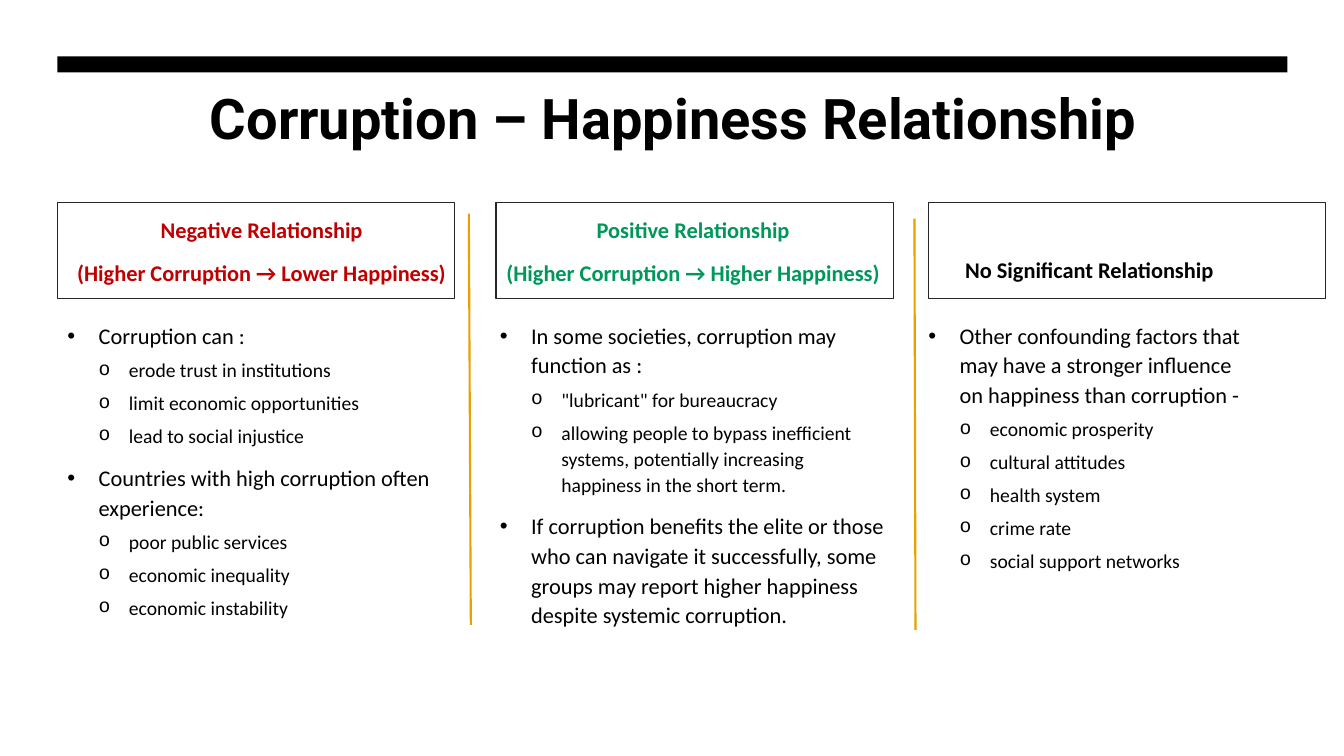
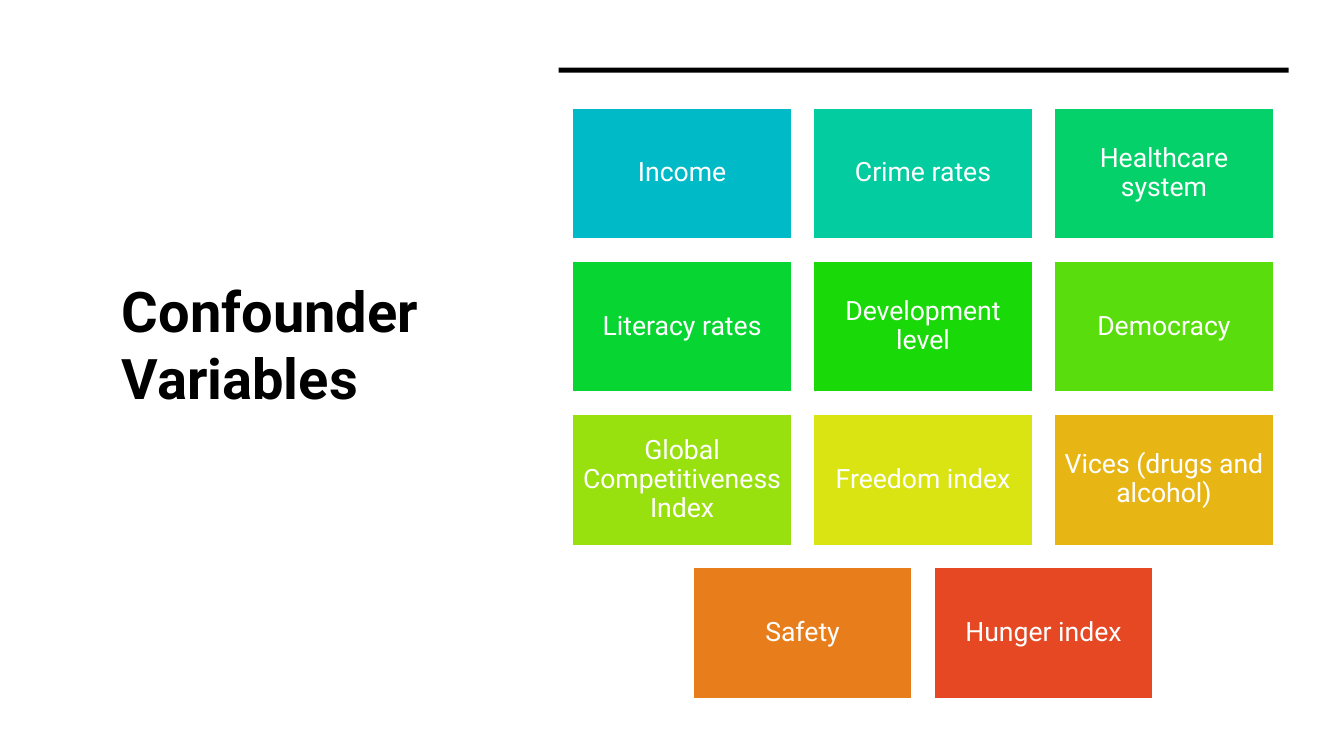
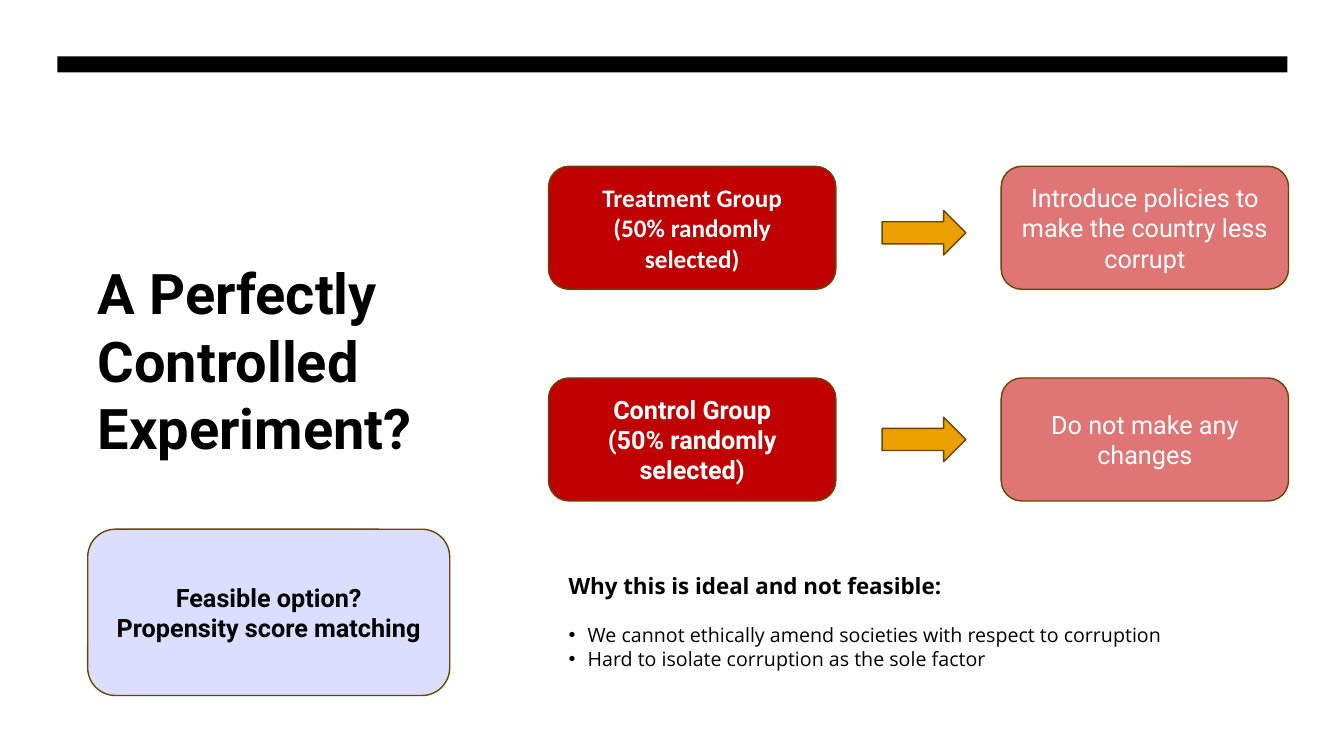
from lxml.etree import SubElement
from pptx import Presentation
from pptx.dml.color import RGBColor
from pptx.enum.shapes import MSO_CONNECTOR, MSO_SHAPE
from pptx.enum.text import MSO_ANCHOR, PP_ALIGN
from pptx.oxml.ns import qn
from pptx.util import Inches, Pt

BLACK = RGBColor(0x00, 0x00, 0x00)
WHITE = RGBColor(0xFF, 0xFF, 0xFF)
CHARCOAL = RGBColor(0x26, 0x26, 0x26)
RED = RGBColor(0xC0, 0x00, 0x00)
PINK = RGBColor(0xE0, 0x75, 0x75)
GREEN = RGBColor(0x00, 0x97, 0x5A)
GOLD = RGBColor(0xEB, 0xA0, 0x00)
BROWN = RGBColor(0x67, 0x46, 0x00)
LAVENDER = RGBColor(0xDB, 0xDE, 0xFF)

SLIDE_W, SLIDE_H = 13.33, 7.5
MARGIN = 0.57
TITLE_FONT = "Roboto"
BODY_FONT = "Calibri"
NOTE_FONT = "Open Sans"

# Heading text: left, top, colour, lines; frame: left; body: left, width, items.
# Each item is (level, text).
RELATIONSHIPS = [
    ((0.57, 2.17, RED,
      ["Negative Relationship", "(Higher Corruption → Lower Happiness)"]),
     0.57,
     (0.57, 4.05, [
         (0, "Corruption can :"),
         (1, "erode trust in institutions"),
         (1, "limit economic opportunities"),
         (1, "lead to social injustice"),
         (0, "Countries with high corruption often experience:"),
         (1, "poor public services"),
         (1, "economic inequality"),
         (1, "economic instability")])),
    ((4.85, 2.17, GREEN,
      ["Positive Relationship", "(Higher Corruption → Higher Happiness)"]),
     4.92,
     (4.86, 4.04, [
         (0, "In some societies, corruption may function as :"),
         (1, '"lubricant" for bureaucracy'),
         (1, "allowing people to bypass inefficient systems, potentially "
             "increasing happiness in the short term."),
         (0, "If corruption benefits the elite or those who can navigate it "
             "successfully, some groups may report higher happiness despite "
             "systemic corruption.")])),
    ((8.78, 2.14, BLACK, ["No Significant Relationship"]),
     9.21,
     (9.11, 3.45, [
         (0, "Other confounding factors that may have a stronger influence "
             "on happiness than corruption -"),
         (1, "economic prosperity"),
         (1, "cultural attitudes"),
         (1, "health system"),
         (1, "crime rate"),
         (1, "social support networks")])),
]
DIVIDERS = [((4.65, 2.12), (4.67, 6.2)), ((9.07, 2.17), (9.08, 6.25))]

CONFOUNDERS = [
    ("Income", RGBColor(0x00, 0xBA, 0xC8)),
    ("Crime rates", RGBColor(0x02, 0xCC, 0xA0)),
    ("Healthcare system", RGBColor(0x04, 0xD1, 0x69)),
    ("Literacy rates", RGBColor(0x07, 0xD5, 0x31)),
    ("Development level", RGBColor(0x1A, 0xD9, 0x09)),
    ("Democracy", RGBColor(0x59, 0xDD, 0x0C)),
    ("Global Competitiveness Index", RGBColor(0x99, 0xE0, 0x0F)),
    ("Freedom index", RGBColor(0xD9, 0xE4, 0x12)),
    ("Vices (drugs and alcohol)", RGBColor(0xE7, 0xB6, 0x15)),
    ("Safety", RGBColor(0xE8, 0x7D, 0x1B)),
    ("Hunger index", RGBColor(0xE6, 0x48, 0x23)),
]

# Group name, its font, what is done to it, top of its arrow.
EXPERIMENT_ARMS = [
    ("Treatment Group", BODY_FONT,
     "Introduce policies to make the country less corrupt", 2.09),
    ("Control Group", TITLE_FONT, "Do not make any changes", 4.14),
]


def inches(*lengths):
    return [Inches(length) for length in lengths]


def write(frame, lines, font, size, color, bold=False, align=PP_ALIGN.LEFT):
    """Fill a text frame with one equally formatted paragraph per line."""
    frame.word_wrap = True
    frame.text = "\n".join(lines)
    for paragraph in frame.paragraphs:
        paragraph.alignment = align
        for run in paragraph.runs:
            run.font.name = font
            run.font.size = Pt(size)
            run.font.bold = bold
            run.font.color.rgb = color
    return frame.paragraphs


def set_bullet(paragraph, mark, font, indent, hang):
    props = paragraph._p.get_or_add_pPr()
    props.set("marL", str(Inches(indent)))
    props.set("indent", str(-Inches(hang)))
    SubElement(props, qn("a:buFont")).set("typeface", font)
    SubElement(props, qn("a:buChar")).set("char", mark)


def add_text(slide, box, lines, **style):
    frame = slide.shapes.add_textbox(*inches(*box)).text_frame
    return frame, write(frame, lines, **style)


def add_block(slide, kind, box, fill=None, line=None):
    block = slide.shapes.add_shape(kind, *inches(*box))
    block.shadow.inherit = False
    if fill is None:
        block.fill.background()
    else:
        block.fill.solid()
        block.fill.fore_color.rgb = fill
    if line is None:
        block.line.fill.background()
    else:
        block.line.color.rgb = line
        block.line.width = Pt(1)
    return block


def add_label(slide, kind, box, fill, line, lines, size=18, font=TITLE_FONT,
              color=WHITE, bold=False):
    """Add a filled shape with centred text."""
    frame = add_block(slide, kind, box, fill, line).text_frame
    frame.vertical_anchor = MSO_ANCHOR.MIDDLE
    write(frame, lines, font, size, color, bold, PP_ALIGN.CENTER)
    return frame


def add_divider(slide, start, end):
    divider = slide.shapes.add_connector(
        MSO_CONNECTOR.STRAIGHT, *inches(*start, *end))
    divider.line.color.rgb = GOLD
    divider.line.width = Pt(1.5)
    SubElement(divider._element.spPr, qn("a:effectLst"))


def add_slide(deck, title, title_box, align=PP_ALIGN.LEFT,
              bar=(MARGIN, 0.56, 12.2, 0.16)):
    """Start a slide with the shared black bar and title style."""
    slide = deck.slides.add_slide(deck.slide_layouts[6])
    add_block(slide, MSO_SHAPE.RECTANGLE, bar, BLACK)
    add_text(slide, title_box, [title], font=TITLE_FONT, size=40,
             color=BLACK, bold=True, align=align)
    return slide


def add_heading(slide, left, top, color, lines):
    frame, paragraphs = add_text(
        slide, (left, top, 4.05, 0.72), lines, font=BODY_FONT, size=16,
        color=color, bold=True, align=PP_ALIGN.CENTER)
    frame.vertical_anchor = MSO_ANCHOR.BOTTOM
    for paragraph in paragraphs:
        paragraph.line_spacing = 1.1
        paragraph.space_before = Pt(10)


def add_outline(slide, left, width, items):
    """Add a two-level bulleted list."""
    _, paragraphs = add_text(
        slide, (left, 3.12, width, 3.66), [text for _, text in items],
        font=BODY_FONT, size=16, color=BLACK)
    for paragraph, (level, _) in zip(paragraphs, items):
        paragraph.line_spacing = 1.1
        paragraph.space_before = Pt(5 if level else 10)
        if level:
            paragraph.level = level
            paragraph.runs[0].font.size = Pt(14)
            set_bullet(paragraph, "o", "Courier New", 0.61, 0.3)
        else:
            set_bullet(paragraph, "•", "Arial", 0.31, 0.31)


def build_relationship_slide(deck):
    slide = add_slide(deck, "Corruption – Happiness Relationship",
                      (MARGIN, 0.78, 12.21, 0.9), PP_ALIGN.CENTER)
    for heading, frame_left, outline in RELATIONSHIPS:
        add_block(slide, MSO_SHAPE.RECTANGLE,
                  (frame_left, 2.01, 3.94, 0.95), line=CHARCOAL)
        add_heading(slide, *heading)
        add_outline(slide, *outline)
    for start, end in DIVIDERS:
        add_divider(slide, start, end)


def build_confounder_slide(deck):
    slide = add_slide(deck, "Confounder Variables", (1.11, 2.69, 4.41, 3.68),
                      bar=(5.54, 0.67, 7.24, 0.05))
    columns, left, top = 3, 5.68, 1.07
    tile_w, tile_h, gap = 2.17, 1.3, 0.22
    for index, (name, fill) in enumerate(CONFOUNDERS):
        row, column = divmod(index, columns)
        in_row = min(columns, len(CONFOUNDERS) - row * columns)
        column += (columns - in_row) / 2
        box = (left + column * (tile_w + gap), top + row * (tile_h + gap),
               tile_w, tile_h)
        frame = add_label(slide, MSO_SHAPE.RECTANGLE, box, fill, WHITE,
                          [name], size=19)
        frame.margin_left = frame.margin_right = Inches(0.08)
        frame.margin_top = frame.margin_bottom = Inches(0.08)
        frame.paragraphs[0].line_spacing = 0.9


def build_experiment_slide(deck):
    title_left, title_w = 0.87, 3.59
    slide = add_slide(deck, "A Perfectly Controlled Experiment?",
                      (title_left, 2.52, title_w, 2.44))
    group_left, action_left, first_top, row_pitch = 5.44, 9.93, 1.65, 2.1
    box_w, box_h = 2.85, 1.22
    for row, (group, font, action, arrow_top) in enumerate(EXPERIMENT_ARMS):
        top = first_top + row * row_pitch
        add_label(slide, MSO_SHAPE.ROUNDED_RECTANGLE,
                  (group_left, top, box_w, box_h), RED, BROWN,
                  [group, "(50% randomly selected)"], font=font, bold=True)
        add_label(slide, MSO_SHAPE.ROUNDED_RECTANGLE,
                  (action_left, top, box_w, box_h), PINK, BROWN, [action])
        add_block(slide, MSO_SHAPE.RIGHT_ARROW,
                  (8.75, arrow_top, 0.83, 0.44), GOLD, BROWN)

    _, (question, *reasons) = add_text(
        slide, (5.54, 5.63, 6.15, 1.72),
        ["Why this is ideal and not feasible:",
         "We cannot ethically amend societies with respect to corruption",
         "Hard to isolate corruption as the sole factor"],
        font=NOTE_FONT, size=14, color=BLACK)
    question.runs[0].font.size = Pt(16)
    question.runs[0].font.bold = True
    question.space_after = Pt(17)
    for reason in reasons:
        set_bullet(reason, "•", "Arial", 0.19, 0.19)

    add_label(slide, MSO_SHAPE.ROUNDED_RECTANGLE,
              (title_left, 5.25, title_w, 1.65), LAVENDER, BROWN,
              ["Feasible option?", "Propensity score matching"],
              color=BLACK, bold=True)


def main():
    deck = Presentation()
    deck.slide_width, deck.slide_height = inches(SLIDE_W, SLIDE_H)
    build_relationship_slide(deck)
    build_confounder_slide(deck)
    build_experiment_slide(deck)
    deck.save("out.pptx")


if __name__ == "__main__":
    main()
